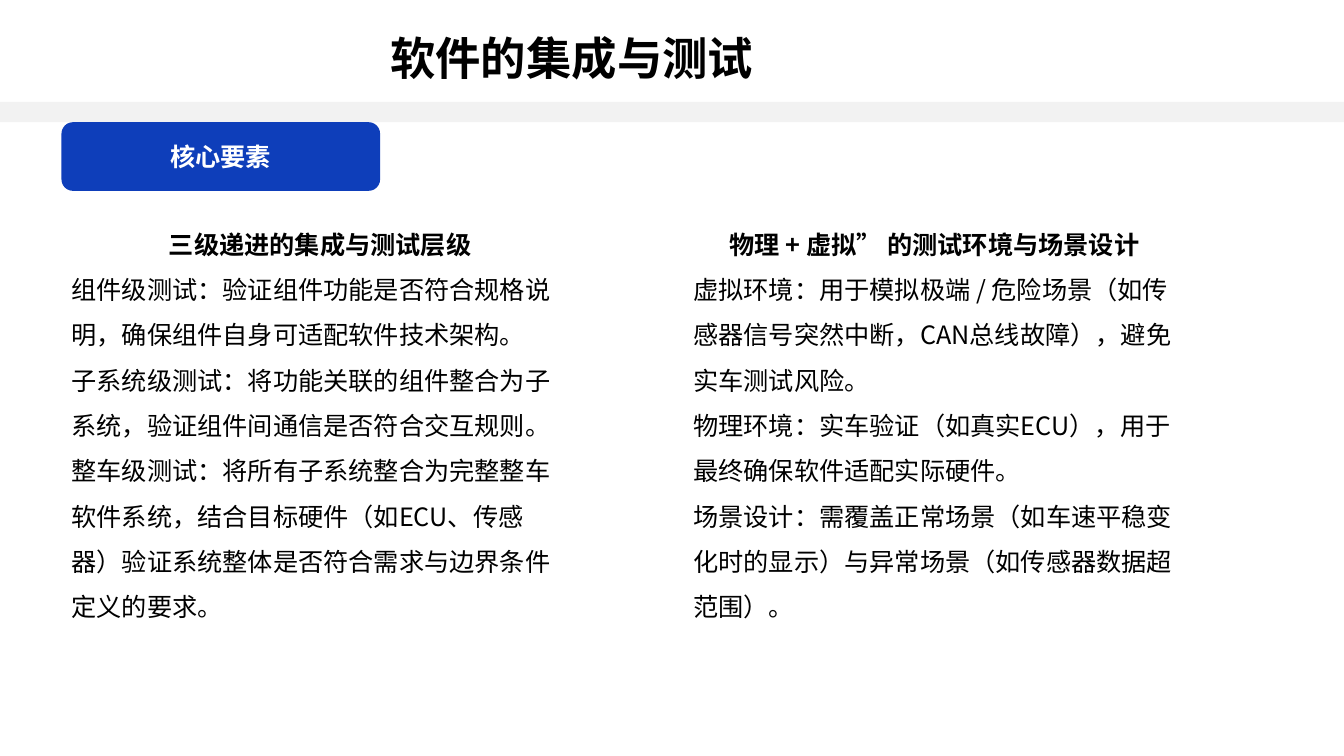
from dataclasses import dataclass

from lxml import etree
from pptx import Presentation
from pptx.dml.color import RGBColor
from pptx.enum.shapes import MSO_SHAPE
from pptx.enum.text import MSO_ANCHOR, MSO_AUTO_SIZE, PP_ALIGN
from pptx.oxml.ns import qn
from pptx.util import Cm, Pt

RECTANGLE, ROUNDED = MSO_SHAPE.RECTANGLE, MSO_SHAPE.ROUNDED_RECTANGLE
TOP, MIDDLE = MSO_ANCHOR.TOP, MSO_ANCHOR.MIDDLE
LEFT, CENTER = PP_ALIGN.LEFT, PP_ALIGN.CENTER
FIXED_SIZE, FIT_SHAPE = MSO_AUTO_SIZE.NONE, MSO_AUTO_SIZE.SHAPE_TO_FIT_TEXT
TWO_CONTENT_LAYOUT = 3


@dataclass(frozen=True)
class Theme:
    font: str = "Noto Sans CJK SC"
    text: RGBColor = RGBColor(0x00, 0x00, 0x00)
    inverse: RGBColor = RGBColor(0xFF, 0xFF, 0xFF)
    band: RGBColor = RGBColor(0xF2, 0xF2, 0xF2)
    accent: RGBColor = RGBColor(0x0E, 0x3E, 0xBA)
    title_size: Pt = Pt(32.4)
    body_size: Pt = Pt(18)


THEME = Theme()
SLIDE_WIDTH, SLIDE_HEIGHT = Cm(33.87), Cm(19.05)
MARGIN = Cm(1.55)
BAND_TOP, BAND_HEIGHT = Cm(2.57), Cm(0.51)
COLUMN_TOP, COLUMN_HEIGHT = Cm(5.26), Cm(10.64)

LEVELS = [
    "三级递进的集成与测试层级",
    "组件级测试：验证组件功能是否符合规格说明，确保组件自身可适配软件技术架构。",
    "子系统级测试：将功能关联的组件整合为子系统，验证组件间通信是否符合交互规则。",
    "整车级测试：将所有子系统整合为完整整车软件系统，结合目标硬件（如ECU、传感器）"
    "验证系统整体是否符合需求与边界条件定义的要求。",
]
ENVIRONMENTS = [
    "物理 + 虚拟” 的测试环境与场景设计",
    "虚拟环境：用于模拟极端 / 危险场景（如传感器信号突然中断，CAN总线故障），避免实车测试风险。",
    "物理环境：实车验证（如真实ECU），用于最终确保软件适配实际硬件。",
    "场景设计：需覆盖正常场景（如车速平稳变化时的显示）与异常场景（如传感器数据超范围）。",
]


def place(shape, left, top, width, height):
    shape.left, shape.top, shape.width, shape.height = left, top, width, height


def format_paragraph(paragraph, size, color, bold, alignment, line_spacing=1.0):
    paragraph.alignment = alignment
    paragraph.line_spacing = line_spacing
    paragraph.space_before = Pt(0)
    for run in paragraph.runs:
        run.font.size = size
        run.font.bold = bold
        run.font.color.rgb = color
        run.font.name = THEME.font
        latin = run.font._element.find(qn("a:latin"))
        east_asian = etree.Element(qn("a:ea"), typeface=THEME.font)
        latin.addnext(east_asian)


def remove_bullet(paragraph):
    properties = paragraph._p.get_or_add_pPr()
    properties.set("marL", "0")
    properties.set("indent", "0")
    etree.SubElement(properties, qn("a:buNone"))


def add_block(slide, preset, color, left, top, width, height):
    block = slide.shapes.add_shape(preset, left, top, width, height)
    block.shadow.inherit = False
    block.fill.solid()
    block.fill.fore_color.rgb = color
    block.line.fill.background()
    return block


def add_section_label(slide, text):
    label = add_block(slide, ROUNDED, THEME.accent, MARGIN,
                      BAND_TOP + BAND_HEIGHT, Cm(8.03), Cm(1.73))
    label.text_frame.text = text
    label.text_frame.vertical_anchor = MIDDLE
    format_paragraph(label.text_frame.paragraphs[0], THEME.body_size,
                     THEME.inverse, True, CENTER)


def fill_title(title, text):
    place(title, Cm(9.58), Cm(0.76), Cm(20.96), Cm(1.65))
    frame = title.text_frame
    frame.text = text
    frame.vertical_anchor = MIDDLE
    frame.auto_size = FIXED_SIZE
    format_paragraph(frame.paragraphs[0], THEME.title_size, THEME.text,
                     True, LEFT, 0.8)


def fill_column(body, texts, left, width):
    """Set a centred bold heading followed by plain paragraphs."""
    place(body, left, COLUMN_TOP, width, COLUMN_HEIGHT)
    frame = body.text_frame
    frame.text = "\n".join(texts)
    frame.word_wrap = True
    frame.vertical_anchor = TOP
    frame.auto_size = FIT_SHAPE
    for index, paragraph in enumerate(frame.paragraphs):
        heading = index == 0
        remove_bullet(paragraph)
        format_paragraph(paragraph, THEME.body_size, THEME.text, heading,
                         CENTER if heading else LEFT, 1.5)


def main():
    presentation = Presentation()
    presentation.slide_width = SLIDE_WIDTH
    presentation.slide_height = SLIDE_HEIGHT
    layout = presentation.slide_layouts[TWO_CONTENT_LAYOUT]
    slide = presentation.slides.add_slide(layout)
    title, left_body, right_body = slide.placeholders

    add_block(slide, RECTANGLE, THEME.band, 0, BAND_TOP, SLIDE_WIDTH, BAND_HEIGHT)
    add_section_label(slide, "核心要素")
    fill_title(title, "软件的集成与测试")
    fill_column(left_body, LEVELS, MARGIN, Cm(13.03))
    fill_column(right_body, ENVIRONMENTS, Cm(17.22), Cm(12.65))

    presentation.save("out.pptx")


if __name__ == "__main__":
    main()
